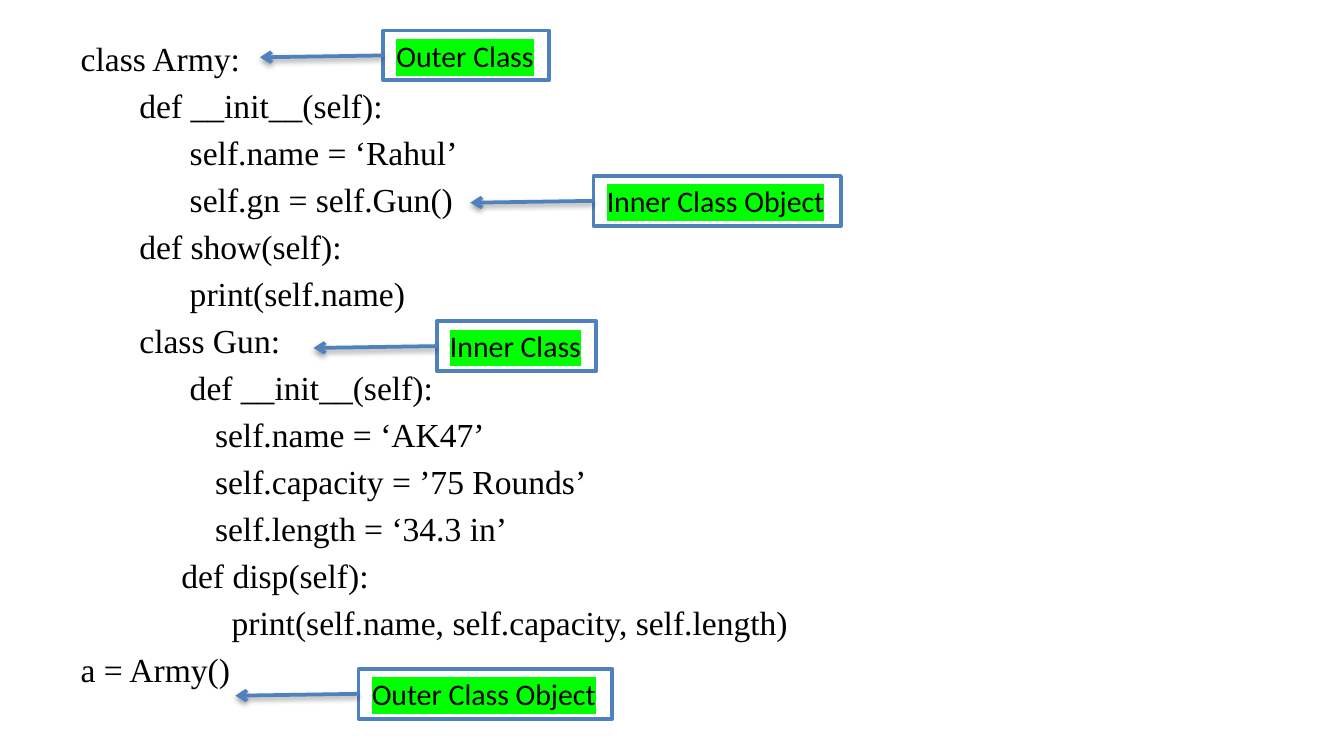
from lxml import etree
from pptx import Presentation, util as u
from pptx.dml import color
from pptx.enum import shapes, text
from pptx.oxml import ns

CODE = """class Army:
       def __init__(self):
             self.name = ‘Rahul’
             self.gn = self.Gun()
       def show(self):
             print(self.name)
       class Gun:
             def __init__(self):
\tself.name = ‘AK47’
\tself.capacity = ’75 Rounds’
\tself.length = ‘34.3 in’
            def disp(self):
                  print(self.name, self.capacity, self.length)
a = Army()"""

LABELS = [
    ("Inner Class", 234, 172.1, 85.5),
    ("Inner Class Object", 318, 94.3, 132.6),
    ("Outer Class", 205.3, 16.4, 89),
    ("Outer Class Object", 192.1, 358.4, 136),
]
LABEL_HEIGHT = 26.64
ARROW_LENGTH = 66
TAB_INDENT = 72


def rgb(value):
    return color.RGBColor.from_string(value)


def sub(parent, tag, **attrs):
    return etree.SubElement(parent, ns.qn(tag), attrs)


def write(p, content, size=18, font="Calibri", fill="000000", highlight=None):
    r = p.add_run()
    r.text = content
    r.font.size = u.Pt(size)
    r.font.color.rgb = rgb(fill)
    if highlight:
        mark = etree.Element(ns.qn("a:highlight"))
        sub(mark, "a:srgbClr", val=highlight)
        r.font._element.find(ns.qn("a:solidFill")).addnext(mark)
    r.font.name = font


class Painter:
    accent = "4F81BD"
    line_width = 2

    def __init__(self, s):
        self.s = s

    def code(self, content, x, y, w, h):
        sp = self.s.placeholders[1]
        sp.left, sp.top, sp.width, sp.height = map(u.Pt, (x, y, w, h))
        tf = sp.text_frame
        tf.auto_size = text.MSO_AUTO_SIZE.NONE
        for i, line in enumerate(content.split("\n")):
            p = tf.paragraphs[0] if i == 0 else tf.add_paragraph()
            pPr = p._p.get_or_add_pPr()
            pPr.set("marL", str(u.Pt(TAB_INDENT * line.count("\t"))))
            pPr.set("indent", "0")
            sub(pPr, "a:buNone")
            p.space_before = u.Pt(3.6 if i else 0)
            write(p, line.lstrip("\t"), font="Times New Roman")

    def label(self, content, x, y, w, h):
        sp = self.s.shapes.add_shape(shapes.MSO_SHAPE.RECTANGLE, *map(u.Pt, (x, y, w, h)))
        sp.shadow.inherit = False
        sp.fill.solid()
        sp.fill.fore_color.rgb = rgb("FFFFFF")
        self.outline(sp)
        tf = sp.text_frame
        tf.word_wrap = False
        tf.auto_size = text.MSO_AUTO_SIZE.SHAPE_TO_FIT_TEXT
        p = tf.paragraphs[0]
        p.alignment = text.PP_ALIGN.LEFT
        write(p, content, size=16, highlight="00FF00")

    def arrow(self, x1, y1, x2, y2):
        sp = self.s.shapes.add_connector(
            shapes.MSO_CONNECTOR.STRAIGHT, *map(u.Pt, (x1, y1, x2, y2)))
        self.outline(sp)
        sub(sp.line._get_or_add_ln(), "a:tailEnd", type="arrow")
        effects = sub(sp._element.spPr, "a:effectLst")
        shadow = sub(effects, "a:outerShdw", blurRad=str(u.Pt(3.1)),
                     dist=str(u.Pt(1.6)), dir="5400000", rotWithShape="0")
        sub(sub(shadow, "a:srgbClr", val="000000"), "a:alpha", val="38000")

    def outline(self, sp):
        sp.line.color.rgb = rgb(self.accent)
        sp.line.width = u.Pt(self.line_width)


def main():
    prs = Presentation()
    prs.slide_width, prs.slide_height = u.Pt(720), u.Pt(405)
    s = prs.slides.add_slide(prs.slide_layouts[1])
    title = s.shapes.title._element
    title.getparent().remove(title)

    painter = Painter(s)
    painter.code(CODE, 36, 16.5, 648, 378)
    for content, x, y, w in LABELS:
        painter.label(content, x, y, w, LABEL_HEIGHT)
        middle = y + LABEL_HEIGHT / 2
        painter.arrow(x, middle, x - ARROW_LENGTH, middle + 1)
    prs.save("out.pptx")


if __name__ == "__main__":
    main()
